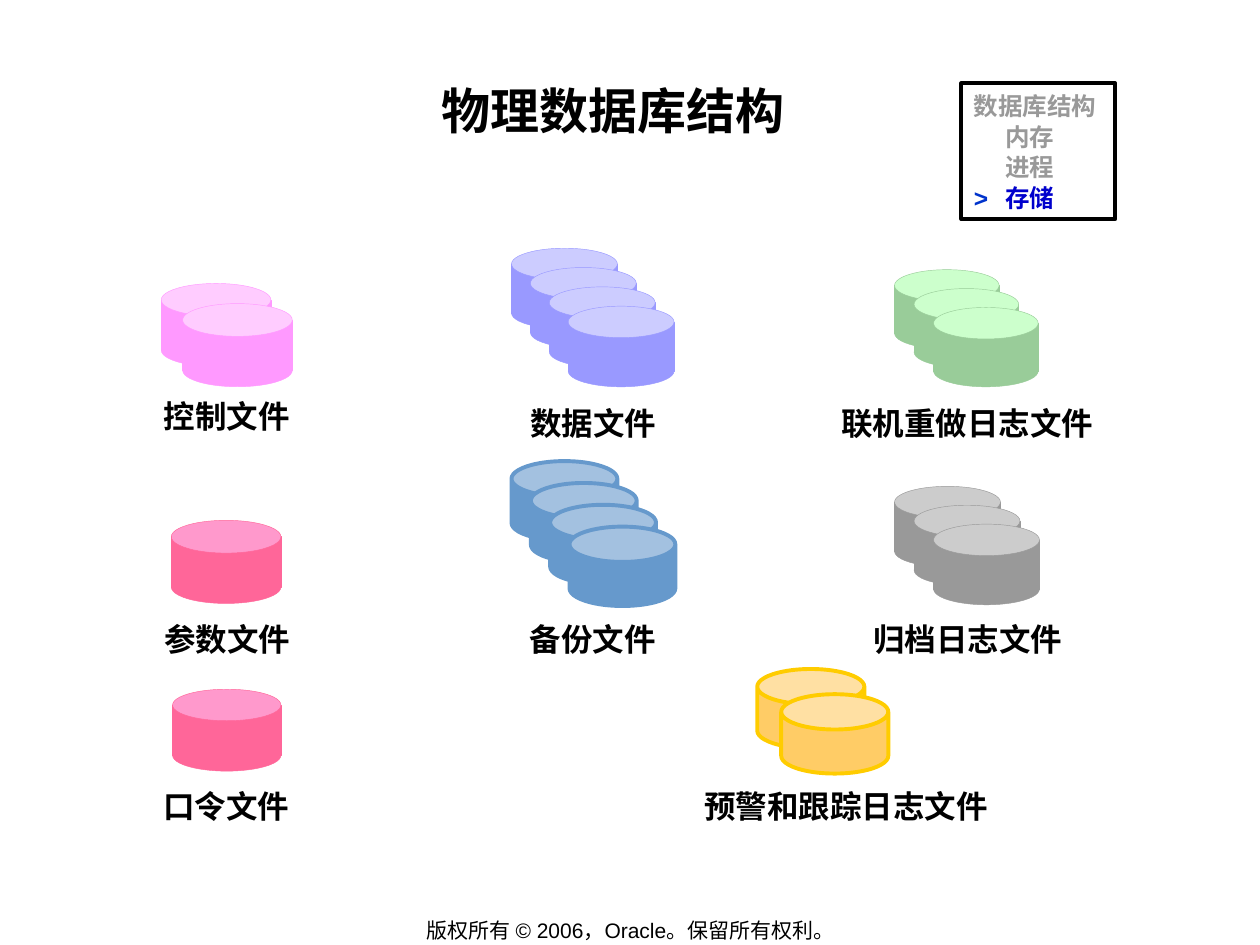
from dataclasses import dataclass

from lxml import etree
from pptx import Presentation
from pptx.dml.color import RGBColor
from pptx.enum.shapes import MSO_SHAPE
from pptx.enum.text import MSO_ANCHOR, MSO_AUTO_SIZE, PP_ALIGN
from pptx.oxml.ns import qn
from pptx.util import Inches, Pt

RECTANGLE, OVAL, CAN = MSO_SHAPE.RECTANGLE, MSO_SHAPE.OVAL, MSO_SHAPE.CAN
TOP, MIDDLE = MSO_ANCHOR.TOP, MSO_ANCHOR.MIDDLE
FIXED, GROW = MSO_AUTO_SIZE.NONE, MSO_AUTO_SIZE.SHAPE_TO_FIT_TEXT
LEFT, CENTER = PP_ALIGN.LEFT, PP_ALIGN.CENTER


@dataclass(frozen=True)
class Theme:
    font: str = "Arial"
    text: str = "000000"
    paper: str = "FFFFFF"
    muted: str = "999999"
    marker: str = "0033CC"
    current: str = "0000CC"
    title_size: float = 28
    label_size: float = 18
    agenda_size: float = 14
    footer_size: float = 12
    thin_line: float = 0.25
    thick_line: float = 2.25


@dataclass(frozen=True)
class Stack:
    first: tuple[float, float]
    last: tuple[float, float]
    count: int
    width: float
    height: float
    body: str
    lid: str = ""
    outline: str = ""
    lid_height: float = 0.25


@dataclass(frozen=True)
class TextBlock:
    text: str
    left: float
    top: float
    width: float
    height: float
    size: float
    bold: bool = True
    spacing: float = 1.1
    insets: tuple[float, float] = (0.01, 0.01)
    wrap: bool = True
    anchor: MSO_ANCHOR = TOP
    auto_size: MSO_AUTO_SIZE = GROW


THEME = Theme()

STACKS = [
    Stack((1.28, 2.25), (1.45, 2.41), 2, 0.87, 0.4, "FF99FF", "FFCCFF", lid_height=0.26),
    Stack((4.06, 1.97), (4.51, 2.43), 4, 0.84, 0.39, "9999FF", "CCCCFF"),
    Stack((7.1, 2.14), (7.41, 2.44), 3, 0.83, 0.38, "99CC99", "CCFFCC"),
    Stack((1.36, 4.13), (1.36, 4.13), 1, 0.87, 0.4, "FF6699", "FF99CC", lid_height=0.26),
    Stack((7.1, 3.86), (7.41, 4.16), 3, 0.84, 0.39, "999999", "CCCCCC"),
    Stack((1.37, 5.47), (1.37, 5.47), 1, 0.86, 0.4, "FF6699", "FF99CC"),
    Stack((4.06, 3.66), (4.52, 4.18), 4, 0.84, 0.63, "6699CC", outline="6699CC"),
    Stack((6.01, 5.31), (6.2, 5.51), 2, 0.85, 0.63, "FFCC66", outline="FFCC00"),
]

LABELS = [
    ("数据文件", 3.96, 3.17, 1.5),
    ("联机重做日志文件", 6.4, 3.17, 2.55),
    ("参数文件", 0.72, 4.88, 2.17),
    ("备份文件", 3.86, 4.88, 1.69),
    ("归档日志文件", 6.47, 4.88, 2.42),
    ("口令文件", 0.91, 6.21, 1.77),
    ("预警和跟踪日志文件", 5.23, 6.21, 2.97),
]

TEXT_BLOCKS = [
    TextBlock("物理数据库结构", 1, 0.58, 7.73, 0.96, THEME.title_size, auto_size=FIXED),
    TextBlock("版权所有 © 2006，Oracle。保留所有权利。", 2.76, 7.28, 4.49, 0.21,
              THEME.footer_size, bold=False, spacing=1, insets=(0.1, 0.05),
              wrap=False, anchor=MIDDLE, auto_size=FIXED),
    TextBlock("控制文件", 0.99, 3.17, 1.62, 0.32, THEME.label_size,
              spacing=0.85, insets=(0.06, 0.03)),
    *(TextBlock(text, left, top, width, 0.36, THEME.label_size)
      for text, left, top, width in LABELS),
]

AGENDA = [
    [("数据库结构", THEME.muted)],
    [("\t内存", THEME.muted)],
    [("\t进程", THEME.muted)],
    [(">\t", THEME.marker), ("存储", THEME.current)],
]


def apply_format(target, values: dict) -> None:
    for name, value in values.items():
        setattr(target, name, value)


def format_frame(frame, insets: tuple[float, float], wrap: bool,
                 anchor: MSO_ANCHOR, auto_size: MSO_AUTO_SIZE) -> None:
    side, edge = map(Inches, insets)
    apply_format(frame, {
        "margin_left": side, "margin_right": side,
        "margin_top": edge, "margin_bottom": edge,
        "word_wrap": wrap, "vertical_anchor": anchor, "auto_size": auto_size,
    })


def add_run(paragraph, text: str, size: float, color: str, bold: bool) -> None:
    run = paragraph.add_run()
    run.text = text
    apply_format(run.font, {"name": THEME.font, "size": Pt(size), "bold": bold})
    run.font.color.rgb = RGBColor.from_string(color)


def add_text_block(slide, block: TextBlock) -> None:
    box = slide.shapes.add_textbox(Inches(block.left), Inches(block.top),
                                   Inches(block.width), Inches(block.height))
    format_frame(box.text_frame, block.insets, block.wrap, block.anchor, block.auto_size)
    paragraph = box.text_frame.paragraphs[0]
    apply_format(paragraph, {"alignment": CENTER, "line_spacing": block.spacing})
    add_run(paragraph, block.text, block.size, THEME.text, block.bold)


def add_filled_shape(slide, kind: MSO_SHAPE, left: float, top: float, width: float,
                     height: float, fill: str, outline: str, weight: float):
    shape = slide.shapes.add_shape(kind, Inches(left), Inches(top),
                                   Inches(width), Inches(height))
    shape.shadow.inherit = False
    shape.fill.solid()
    shape.fill.fore_color.rgb = RGBColor.from_string(fill)
    shape.line.color.rgb = RGBColor.from_string(outline)
    shape.line.width = Pt(weight)
    return shape


def add_cylinder(slide, stack: Stack, left: float, top: float) -> None:
    if not stack.lid:
        can = add_filled_shape(slide, CAN, left, top, stack.width, stack.height,
                               stack.body, stack.outline, THEME.thick_line)
        can.adjustments[0] = 0.445
        return
    parts = [
        (RECTANGLE, top + stack.lid_height / 2, stack.height, stack.body),
        (OVAL, top, stack.lid_height, stack.lid),
        (OVAL, top + stack.height, stack.lid_height, stack.body),
    ]
    for kind, part_top, height, fill in parts:
        add_filled_shape(slide, kind, left, part_top, stack.width, height,
                         fill, stack.body, THEME.thin_line)


def add_stack(slide, stack: Stack) -> None:
    for index in range(stack.count):
        share = index / max(stack.count - 1, 1)
        left, top = (start + (end - start) * share
                     for start, end in zip(stack.first, stack.last))
        add_cylinder(slide, stack, left, top)


def add_agenda(slide) -> None:
    box = add_filled_shape(slide, RECTANGLE, 7.63, 0.66, 1.22, 1.08,
                           THEME.paper, THEME.text, THEME.thick_line)
    frame = box.text_frame
    format_frame(frame, (0.1, 0.05), False, TOP, GROW)
    for index, runs in enumerate(AGENDA):
        paragraph = frame.add_paragraph() if index else frame.paragraphs[0]
        apply_format(paragraph, {"alignment": LEFT, "line_spacing": 1.05})
        tabs = etree.SubElement(paragraph._p.get_or_add_pPr(), qn("a:tabLst"))
        etree.SubElement(tabs, qn("a:tab"), pos=str(Inches(0.25)), algn="l")
        for text, color in runs:
            add_run(paragraph, text, THEME.agenda_size, color, True)


def main() -> None:
    presentation = Presentation()
    apply_format(presentation, {"slide_width": Inches(10), "slide_height": Inches(7.5)})
    slide = presentation.slides.add_slide(presentation.slide_layouts[6])
    for stack in STACKS:
        add_stack(slide, stack)
    for block in TEXT_BLOCKS:
        add_text_block(slide, block)
    add_agenda(slide)
    presentation.save("out.pptx")


if __name__ == "__main__":
    main()
